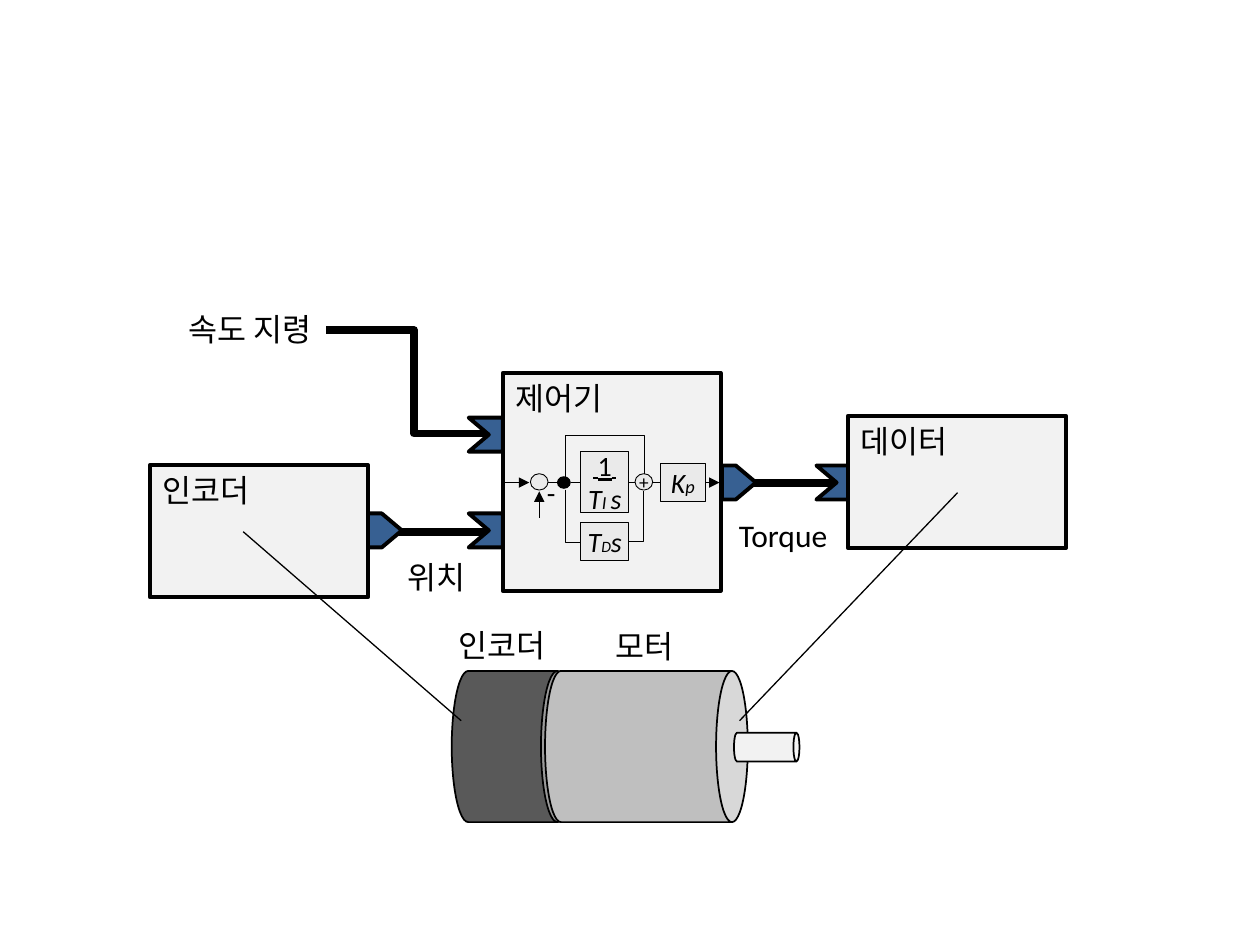
from lxml.etree import SubElement
from pptx import Presentation
from pptx.dml.color import RGBColor
from pptx.enum.shapes import MSO_CONNECTOR, MSO_SHAPE
from pptx.enum.text import MSO_ANCHOR, MSO_AUTO_SIZE, PP_ALIGN
from pptx.oxml.ns import qn
from pptx.util import Inches, Pt

BLACK = RGBColor(0x00, 0x00, 0x00)
BLUE = RGBColor(0x37, 0x60, 0x92)
PALE = RGBColor(0xF2, 0xF2, 0xF2)
LIGHT = RGBColor(0xEA, 0xEA, 0xEA)
GRAY = RGBColor(0xBF, 0xBF, 0xBF)
DARK = RGBColor(0x59, 0x59, 0x59)


class Sketch:
    font = "Calibri"
    thin, fine, mid, bold = 0.5, 0.75, 2.25, 4.5

    def __init__(self, slide):
        self.slide = slide
        self.shapes = slide.shapes

    def style(self, shape, fill, width):
        shape.shadow.inherit = False
        if fill is None:
            shape.fill.background()
        else:
            shape.fill.solid()
            shape.fill.fore_color.rgb = fill
        if width is None:
            shape.line.fill.background()
        else:
            shape.line.color.rgb = BLACK
            shape.line.width = Pt(width)

    def letter(self, frame, rows, align=PP_ALIGN.CENTER):
        """Each row is a list of (text, size, flags); flags holds i and u."""
        for n, row in enumerate(rows):
            para = frame.add_paragraph() if n else frame.paragraphs[0]
            para.alignment = align
            for text, size, flags in row:
                run = para.add_run()
                run.text = text
                run.font.name = self.font
                run.font.size = Pt(size)
                run.font.color.rgb = BLACK
                run.font.italic = "i" in flags
                run.font.underline = "u" in flags

    def shape(self, kind, x, y, w, h, fill, width, rows=()):
        item = self.shapes.add_shape(kind, Inches(x), Inches(y), Inches(w), Inches(h))
        self.style(item, fill, width)
        frame = item.text_frame
        frame.word_wrap = False
        frame.vertical_anchor = MSO_ANCHOR.MIDDLE
        self.letter(frame, rows)
        return item

    def block(self, x, y, w, h, text):
        item = self.shape(MSO_SHAPE.RECTANGLE, x, y, w, h, PALE, self.mid)
        frame = item.text_frame
        frame.word_wrap = True
        frame.vertical_anchor = MSO_ANCHOR.TOP
        self.letter(frame, [[(text, 18, "")]], PP_ALIGN.LEFT)

    def can(self, x, y, w, h, bend, fill):
        item = self.shape(MSO_SHAPE.CAN, x, y, w, h, fill, 1)
        item.rotation = 90
        item.adjustments[0] = bend

    def label(self, x, y, w, text):
        box = self.shapes.add_textbox(Inches(x), Inches(y), Inches(w), Inches(0.4))
        frame = box.text_frame
        frame.word_wrap = False
        frame.auto_size = MSO_AUTO_SIZE.SHAPE_TO_FIT_TEXT
        self.letter(frame, [[(text, 18, "")]])

    def port(self, x, y, out):
        """Port 0.27 square, left edge x and centre y."""
        if out:
            spots = [(0, 0.135), (0.11, 0.135), (0.27, 0), (0.11, -0.135), (0, -0.135)]
        else:
            spots = [(0, -0.135), (0.27, -0.135), (0.27, 0.135), (0, 0.135), (0.16, 0)]
        spots = [(Inches(x + a), Inches(y + b)) for a, b in spots]
        shell = self.shapes.build_freeform(*spots[0])
        shell.add_line_segments(spots[1:], close=True)
        self.style(shell.convert_to_shape(), BLUE, self.mid)

    def line(self, x1, y1, x2, y2, width, kind=MSO_CONNECTOR.STRAIGHT, arrow=False):
        wire = self.shapes.add_connector(
            kind, Inches(x1), Inches(y1), Inches(x2), Inches(y2))
        wire.line.color.rgb = BLACK
        wire.line.width = Pt(width)
        props = wire._element.spPr
        if arrow:
            SubElement(props.find(qn("a:ln")), qn("a:tailEnd"), type="triangle")
        SubElement(props, qn("a:effectLst"))
        return wire

    def bend(self, x, y, w, h, width, preset, turn=0, flips=(), adjust=None):
        """Elbow in a frame that is then flipped and turned by whole degrees."""
        wire = self.line(x, y, x + w, y + h, width, MSO_CONNECTOR.ELBOW)
        props = wire._element.spPr
        frame = props.find(qn("a:xfrm"))
        frame.set("rot", str(turn * 60000))
        for flip in flips:
            frame.set(flip, "1")
        shape = props.find(qn("a:prstGeom"))
        shape.set("prst", preset)
        if adjust is not None:
            SubElement(shape.find(qn("a:avLst")), qn("a:gd"),
                       name="adj1", fmla=f"val {round(adjust * 100000)}")


def main():
    deck = Presentation()
    deck.slide_width, deck.slide_height = Inches(10), Inches(7.5)
    art = Sketch(deck.slides.add_slide(deck.slide_layouts[6]))
    rect, oval = MSO_SHAPE.RECTANGLE, MSO_SHAPE.OVAL
    axis = 3.83

    # Signal lines
    art.bend(2.59, 2.62, 1.39, 0.82, art.bold, "bentConnector3")
    art.line(2.87, 4.22, 3.98, 4.22, art.bold)
    art.line(5.71, axis, 6.81, axis, art.bold)

    # Blocks and ports
    art.port(2.92, 4.21, True)
    art.block(1.19, 3.69, 1.73, 1.05, "인코더")
    art.port(6.48, axis, False)
    art.block(6.73, 3.3, 1.73, 1.05, "데이터")
    art.block(3.99, 2.96, 1.73, 1.73, "제어기")
    art.port(5.73, axis, True)
    for y in (4.21, 3.45):
        art.port(3.72, y, False)

    # Signal labels
    art.label(3.11, 4.38, 0.71, "위치")
    art.label(5.76, 4.05, 0.91, "Torque")
    art.label(1.35, 2.41, 1.27, "속도 지령")

    # Control loop terms
    art.shape(rect, 4.61, 3.58, 0.38, 0.49, LIGHT, art.thin, [
        [(" ", 11, "u"), ("1", 16, "u"), (" ", 11, "u")],
        [("T", 16, "i"), ("I ", 10.5, "i"), ("s", 16, "i")]])
    art.shape(rect, 4.61, 4.15, 0.38, 0.3, LIGHT, art.thin,
              [[("T", 16, "i"), ("D", 9, "i"), ("s", 16, "i")]])
    art.shape(rect, 5.24, 3.68, 0.36, 0.3, LIGHT, art.thin,
              [[("K", 16, "i"), ("p", 10.5, "i")]])
    art.shape(oval, 5.04, 3.76, 0.14, 0.13, LIGHT, art.thin, [[("+", 11, "")]])
    art.shape(oval, 4.42, 3.78, 0.11, 0.1, BLACK, None)
    art.shape(oval, 4.21, 3.76, 0.14, 0.13, LIGHT, art.thin)
    art.shape(oval, 4.3, 3.84, 0.15, 0.13, None, None, [[("-", 16, "")]])

    # Control loop wires
    for start, end in ((4.35, 4.42), (4.53, 4.61), (4.99, 5.04), (5.18, 5.24)):
        art.line(start, axis, end, axis, art.thin)
    art.bend(4.34, 4.03, 0.42, 0.13, art.thin, "bentConnector2", 270, ["flipH"])
    art.bend(4.99, 3.9, 0.12, 0.4, art.thin, "bentConnector2", 0, ["flipV"])
    art.bend(4.79, 3.46, 0.02, 0.63, art.thin, "bentConnector3", 90,
             ["flipH", "flipV"], 16.2)
    for ends in ((5.6, axis, 5.71, axis), (3.99, axis, 4.2, axis),
                 (4.28, 4.11, 4.28, 3.9)):
        art.line(*ends, art.fine, arrow=True)

    # Motor with encoder and shaft
    art.can(3.47, 5.44, 1.2, 0.97, 0.27, DARK)
    art.can(4.53, 5.12, 1.2, 1.61, 0.21, GRAY)
    art.can(5.97, 5.67, 0.23, 0.52, 0.21, PALE)
    art.line(3.66, 5.72, 1.93, 4.22, art.fine)
    art.line(5.87, 5.72, 7.6, 3.91, art.fine)
    art.label(4.76, 4.93, 0.71, "모터")
    art.label(3.5, 4.92, 1.02, "인코더 ")

    deck.save("out.pptx")


if __name__ == "__main__":
    main()
